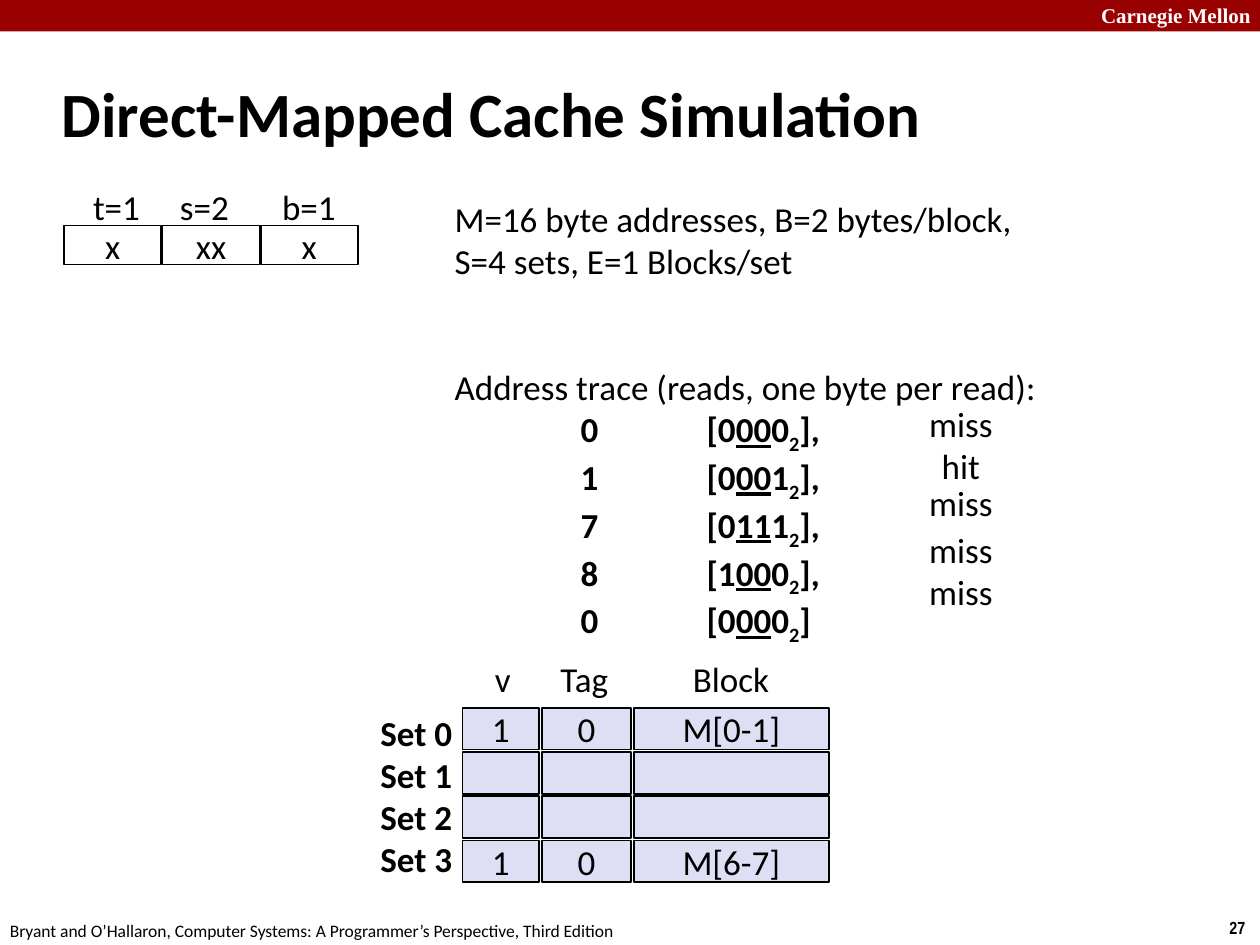
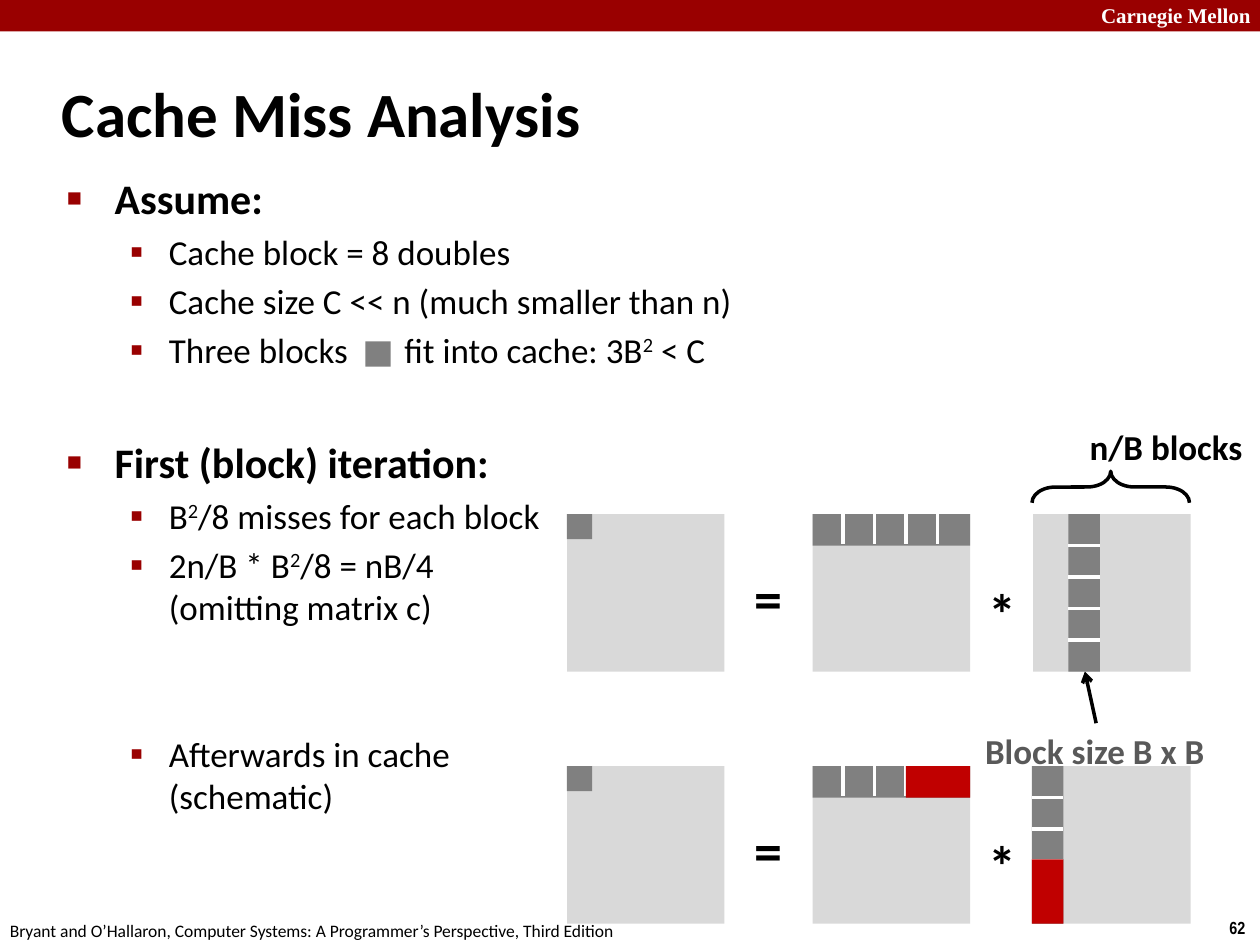
from lxml.etree import SubElement
from pptx import Presentation
from pptx.dml.color import RGBColor
from pptx.enum.shapes import MSO_CONNECTOR, MSO_SHAPE as SHAPE
from pptx.enum.text import MSO_ANCHOR as ANCHOR, MSO_AUTO_SIZE, PP_ALIGN as ALIGN
from pptx.oxml.ns import qn
from pptx.util import Inches, Pt

BLACK = RGBColor(0, 0, 0)
WHITE = RGBColor(255, 255, 255)
CRIMSON = RGBColor(0x99, 0, 0)
RED = RGBColor(0xC0, 0, 0)
LAVENDER = RGBColor(0xDE, 0xDF, 0xF5)
LIGHT = RGBColor(0xD9, 0xD9, 0xD9)
GREY = RGBColor(0x80, 0x80, 0x80)
DIM = RGBColor(0x59, 0x59, 0x59)

WIDTH, HEIGHT = 10, 7.5
FOOTER = "Bryant and O’Hallaron, Computer Systems: A Programmer’s Perspective, Third Edition"

ADDRESS_FIELDS = [("t=1", 0.64, "x"), ("s=2", 1.33, "xx"), ("b=1", 2.14, "x")]
FIELD_LEFT, FIELD_TOP, FIELD_STEP = 0.51, 1.79, 0.78
CACHE_FACTS = ["M=16 byte addresses, B=2 bytes/block,", "S=4 sets, E=1 Blocks/set"]
TRACE_HEADING = "Address trace (reads, one byte per read):"
TRACE = [
    (0, "0000", "miss", 3.25),
    (1, "0001", "hit", 3.58),
    (7, "0111", "miss", 3.88),
    (8, "1000", "miss", 4.25),
    (0, "0000", "miss", 4.58),
]
TRACE_TABS = [1, 2]
CACHE_COLUMNS = [("v", 3.67, 0.61, 3.83, 0.33), ("Tag", 4.3, 0.71, 4.35, 0.6),
                 ("Block", 5.03, 1.55, 5.4, 0.81)]
CACHE_SETS = [("1", "0", "M[0-1]"), ("", "", ""), ("", "", ""), ("1", "0", "M[6-7]")]
SET_TOP, SET_STEP = 5.62, 0.35

OUTLINE = [
    (0, "Assume:", 0),
    (1, "Cache block = 8 doubles", 4),
    (1, "Cache size C << n (much smaller than n)", 4),
    (1, "Three blocks\tfit into cache: 3B^2^ < C", 4),
    (0, "First (block) iteration:", 38),
    (1, "B^2^/8 misses for each block", 4),
    (1, "2n/B * B^2^/8 = nB/4\n(omitting matrix c)", 4),
    (1, "Afterwards in cache\n(schematic)", 60),
]
LEVELS = [
    dict(indent=0.38, hang=0.38, bullet="■", percent=60, size=24, bold=True),
    dict(indent=0.81, hang=0.31, bullet="▪", percent=110, size=20, bold=False),
]
FIT_TAB = 2.68

MATRIX_LEFTS = [4.5, 6.45, 8.2]
MATRIX, TILE, CORNER = 1.25, 0.25, 0.2
MULTIPLICATIONS = [(6.08, 8.19, True), (4.08, 8.48, False)]


def set_font(font, size=20, name="Calibri", color=BLACK, **extra):
    for key, value in dict(size=Pt(size), name=name, **extra).items():
        setattr(font, key, value)
    font.color.rgb = color


def add_run(p, text, baseline=None, **fmt):
    r = p.add_run()
    r.text = text
    set_font(r.font, **fmt)
    if baseline:
        r.font._element.set("baseline", str(baseline * 1000))


def set_tabs(p, stops):
    tabs = SubElement(p._p.get_or_add_pPr(), qn("a:tabLst"))
    for stop in stops:
        SubElement(tabs, qn("a:tab"), pos=str(Inches(stop)), algn="l")


def add_text(s, text, x, y, w, h=0.43, wrap=False, **fmt):
    tf = s.shapes.add_textbox(*map(Inches, (x, y, w, h))).text_frame
    tf.word_wrap = wrap
    if text:
        add_run(tf.paragraphs[0], text, **fmt)
    return tf


def add_box(s, x, y, w, h, fill=None, line=None, text="", kind=SHAPE.RECTANGLE):
    sp = s.shapes.add_shape(kind, *map(Inches, (x, y, w, h)))
    sp.shadow.inherit = False
    if fill is None:
        sp.fill.background()
    else:
        sp.fill.solid()
        sp.fill.fore_color.rgb = fill
    if line is None:
        sp.line.fill.background()
    else:
        sp.line.color.rgb = line
        sp.line.width = Pt(1)
    if text:
        tf = sp.text_frame
        tf.word_wrap = False
        tf.vertical_anchor = ANCHOR.MIDDLE
        tf.paragraphs[0].alignment = ALIGN.CENTER
        add_run(tf.paragraphs[0], text)
    return sp


def add_line(s, x1, y1, x2, y2, color, arrow=False):
    ln = s.shapes.add_connector(MSO_CONNECTOR.STRAIGHT, *map(Inches, (x1, y1, x2, y2)))
    ln.line.color.rgb = color
    ln.line.width = Pt(2)
    if arrow:
        SubElement(ln.line._get_or_add_ln(), qn("a:tailEnd"), type="arrow")
    SubElement(ln._element.spPr, qn("a:effectLst"))


def place(sp, x, y, w, h):
    for key, value in dict(left=x, top=y, width=w, height=h).items():
        setattr(sp, key, Inches(value))
    sp.text_frame.auto_size = MSO_AUTO_SIZE.NONE
    return sp.text_frame


def add_slide(prs, layout, title, number):
    s = prs.slides.add_slide(prs.slide_layouts[layout])
    add_box(s, 0, 0, WIDTH, 0.25, CRIMSON)
    add_text(s, "Carnegie Mellon", 8.64, -0.03, 1.43, 0.3, wrap=True,
             size=12, name="Times New Roman", color=WHITE, bold=True)
    add_text(s, str(number), 9.66, 7.23, 0.34, 0.27, size=10, name="Arial Narrow", bold=True)
    add_text(s, FOOTER, -0.02, 7.25, 5.08, 0.27, size=10)
    tf = place(s.shapes.title, 0.39, 0.48, 8.3, 0.83)
    tf.vertical_anchor = ANCHOR.MIDDLE
    tf.paragraphs[0].alignment = ALIGN.LEFT
    add_run(tf.paragraphs[0], title, size=36, bold=True)
    return s


def add_trace(s):
    tf = add_text(s, "", 3.51, 1.52, 6.49, 3.46, wrap=True)
    p = tf.paragraphs[0]
    add_run(p, CACHE_FACTS[0])
    for text, gap in [(CACHE_FACTS[1], 0), (TRACE_HEADING, 48)]:
        p = tf.add_paragraph()
        p.space_before = Pt(gap)
        add_run(p, text)
    for i, (address, bits, outcome, y) in enumerate(TRACE):
        p = tf.add_paragraph()
        set_tabs(p, TRACE_TABS)
        add_run(p, f"\t{address}\t[{bits[0]}", bold=True)
        add_run(p, bits[1:3], bold=True, underline=True)
        add_run(p, bits[3], bold=True)
        add_run(p, "2", baseline=-25, bold=True)
        add_run(p, "]," if i < len(TRACE) - 1 else "]", bold=True)
        w = 0.51 if outcome == "hit" else 0.71
        label = add_text(s, outcome, 7.63 - w / 2, y, w, 0.32)
        label.paragraphs[0].line_spacing = 0.65


def add_simulation(prs):
    s = add_slide(prs, 5, "Direct-Mapped Cache Simulation", 27)
    for i, (label, x, bits) in enumerate(ADDRESS_FIELDS):
        add_box(s, FIELD_LEFT + i * FIELD_STEP, FIELD_TOP, 0.77, 0.31, WHITE, BLACK, bits)
        add_text(s, label, x, 1.42, 0.8, wrap=True)
    add_trace(s)
    for heading, _, _, x, w in CACHE_COLUMNS:
        add_text(s, heading, x, 5.17, w)
    for i, values in enumerate(CACHE_SETS):
        for (_, x, w, _, _), value in zip(CACHE_COLUMNS, values):
            add_box(s, x, SET_TOP + i * SET_STEP, w, 0.33, LAVENDER, BLACK, value)
        add_text(s, f"Set {i}", 2.92, 5.6 + i / 3, 0.78, bold=True)


def add_outline(s):
    tf = place(s.placeholders[1], 0.43, 1.32, 8.64, 3.34)
    for i, (level, text, gap) in enumerate(OUTLINE):
        look = LEVELS[level]
        p = tf.add_paragraph() if i else tf.paragraphs[0]
        p.level = level
        pPr = p._p.get_or_add_pPr()
        pPr.set("marL", str(Inches(look["indent"])))
        pPr.set("indent", str(-Inches(look["hang"])))
        SubElement(SubElement(pPr, qn("a:buClr")), qn("a:srgbClr"), val=str(CRIMSON))
        SubElement(pPr, qn("a:buSzPct"), val=str(look["percent"] * 1000))
        SubElement(pPr, qn("a:buFont"), typeface="Arial")
        SubElement(pPr, qn("a:buChar"), char=look["bullet"])
        if "\t" in text:
            set_tabs(p, [FIT_TAB])
        p.space_before = Pt(gap)
        for n, line in enumerate(text.split("\n")):
            if n:
                p.add_line_break()
            for k, part in enumerate(line.split("^")):
                add_run(p, part, 30 if k % 2 else None, size=look["size"], bold=look["bold"])


def add_multiplication(s, top, column, cached):
    c, a, b = MATRIX_LEFTS
    for x in MATRIX_LEFTS:
        add_box(s, x, top, MATRIX, MATRIX, LIGHT)
    for sign, x, dy in [("=", 5.89, 0.34), ("*", 7.75, 0.46)]:
        add_text(s, sign, x, top + dy, 0.43, 0.64, size=32, bold=True)
    add_box(s, c, top, CORNER, CORNER, GREY)
    add_box(s, a, top, MATRIX, TILE, GREY)
    add_box(s, column, top, TILE, MATRIX, GREY)
    for i in range(1, 5):
        x, y = a + i * TILE - 0.01, top + i * TILE
        add_line(s, x, top - 0.01, x, top + 0.24, WHITE)
        add_line(s, column, y, column + TILE, y, WHITE)
    if cached:
        rest = 0.51
        add_box(s, a + MATRIX - rest, top, rest, TILE, RED)
        add_box(s, column, top + MATRIX - rest, TILE, rest, RED)


def add_analysis(prs):
    s = add_slide(prs, 1, "Cache Miss Analysis", 62)
    add_outline(s)
    add_box(s, 2.9, 2.71, CORNER, CORNER, GREY)
    for top, column, cached in MULTIPLICATIONS:
        add_multiplication(s, top, column, cached)
    add_text(s, "Block size B x B", 7.72, 5.74, 1.96, color=DIM, bold=True)
    add_line(s, 8.7, 5.74, 8.61, 5.33, BLACK, arrow=True)
    brace = add_box(s, 8.69, 3.24, TILE, MATRIX, line=BLACK, kind=SHAPE.LEFT_BRACE)
    brace.rotation = 90
    brace.adjustments[0] = 0.75
    brace.line.width = Pt(2)
    add_text(s, "n/B blocks", 8.55, 3.33, 1.43, bold=True)


def main():
    prs = Presentation()
    prs.slide_width, prs.slide_height = Inches(WIDTH), Inches(HEIGHT)
    add_simulation(prs)
    add_analysis(prs)
    prs.save("out.pptx")


if __name__ == "__main__":
    main()
